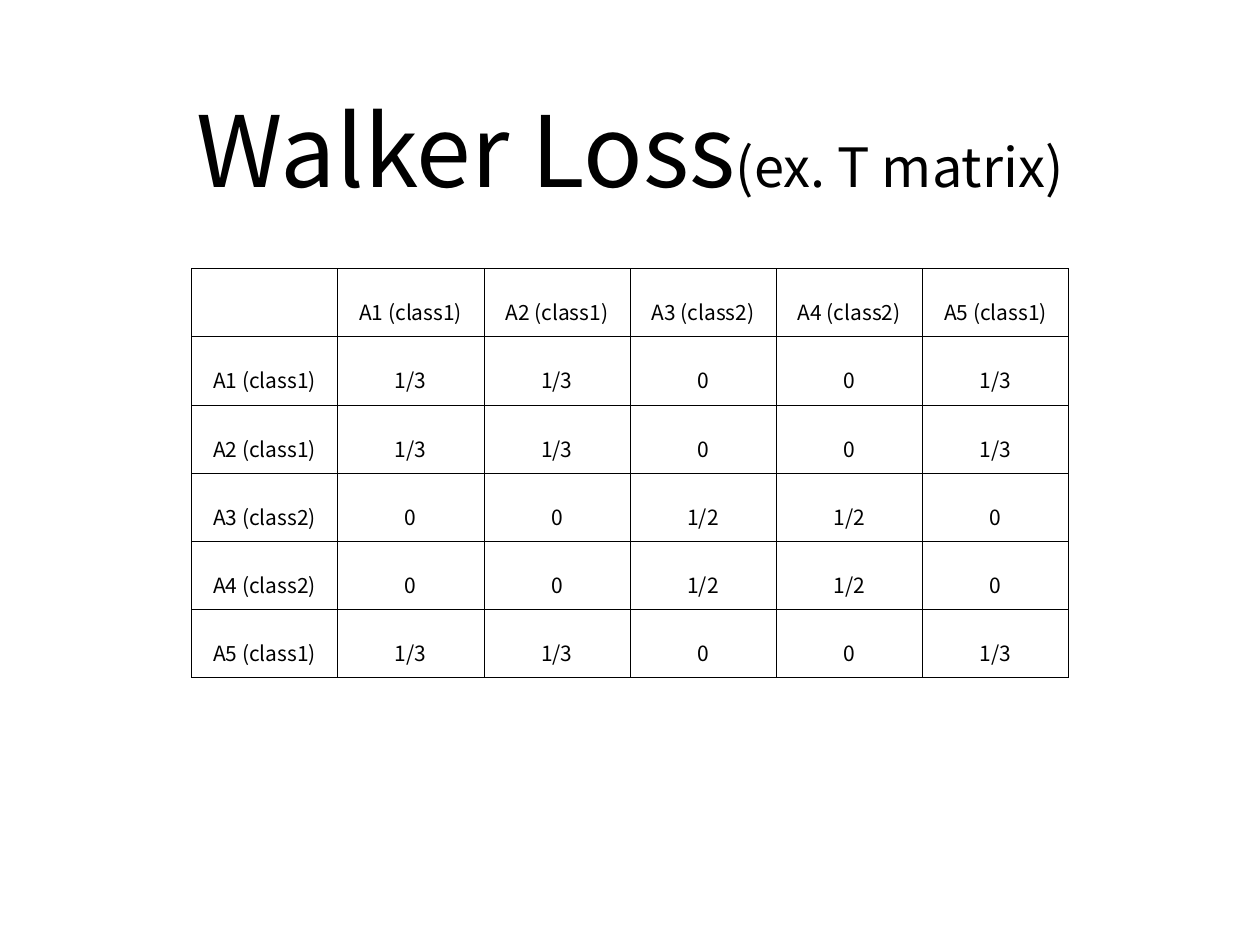
"""Build the Walker Loss slide with its example T matrix."""
import lxml.etree
import pptx
import pptx.dml.color
import pptx.enum.text
import pptx.oxml
import pptx.oxml.ns
import pptx.util

Inches = pptx.util.Inches
Pt = pptx.util.Pt

TITLE = [("Walker Loss", 80), ("(ex. T matrix)", 44)]
SAMPLE_CLASSES = [1, 1, 2, 2, 1]
FONT = "Noto Sans CJK KR"
BLACK = "000000"
TITLE_BOX = (1.04, 0.49, 12.14, 2.36)
TABLE_LEFT, TABLE_TOP = 2.16, 3.03
COLUMN_WIDTH, ROW_HEIGHT = 1.65, 0.77
BORDER_WIDTH = 0.28


def color(hex_string):
    return pptx.dml.color.RGBColor.from_string(hex_string)


def add_text(paragraph, text, size, hex_color=BLACK, line_spacing=None):
    paragraph.alignment = pptx.enum.text.PP_ALIGN.CENTER
    if line_spacing:
        paragraph.line_spacing = line_spacing
    run = paragraph.add_run()
    run.text = text
    run.font.name = FONT
    run.font.size = Pt(size)
    run.font.color.rgb = color(hex_color)


def set_margins(target, horizontal, vertical):
    target.margin_left = target.margin_right = Inches(horizontal)
    target.margin_top = target.margin_bottom = Inches(vertical)
    target.vertical_anchor = pptx.enum.text.MSO_ANCHOR.MIDDLE


def add_borders(cell, hex_color=BLACK):
    qn = pptx.oxml.ns.qn
    properties = cell._tc.get_or_add_tcPr()
    for side in ("lnL", "lnR", "lnT", "lnB"):
        line = lxml.etree.SubElement(properties, qn(f"a:{side}"), w=str(int(Pt(BORDER_WIDTH))))
        fill = lxml.etree.SubElement(line, qn("a:solidFill"))
        lxml.etree.SubElement(fill, qn("a:srgbClr"), val=hex_color)


def matrix_rows():
    labels = [f"A{number} (class{group})" for number, group in enumerate(SAMPLE_CLASSES, 1)]
    rows = [[""] + labels]
    for label, group in zip(labels, SAMPLE_CLASSES):
        share = f"1/{SAMPLE_CLASSES.count(group)}"
        rows.append([label] + [share if other == group else "0" for other in SAMPLE_CLASSES])
    return rows


def add_title(slide):
    title = slide.shapes.add_textbox(*map(Inches, TITLE_BOX))
    frame = title.text_frame
    frame.word_wrap = True
    set_margins(frame, 0.06, 0.06)
    for text, size in TITLE:
        add_text(frame.paragraphs[0], text, size)


def add_matrix(slide):
    rows = matrix_rows()
    count = len(rows)
    table = slide.shapes.add_table(
        count, count, Inches(TABLE_LEFT), Inches(TABLE_TOP),
        Inches(COLUMN_WIDTH * count), Inches(ROW_HEIGHT * count)).table
    table.first_row = table.horz_banding = False
    for column in table.columns:
        column.width = Inches(COLUMN_WIDTH)
    for table_row, values in zip(table.rows, rows):
        table_row.height = Inches(ROW_HEIGHT)
        for cell, value in zip(table_row.cells, values):
            set_margins(cell, 0.12, 0.03)
            add_borders(cell)
            cell.fill.background()
            if value:
                add_text(cell.text_frame.paragraphs[0], value, 17, line_spacing=1.6)


def main():
    presentation = pptx.Presentation()
    presentation.slide_width = Inches(14.22)
    presentation.slide_height = Inches(10.67)
    slide = presentation.slides.add_slide(presentation.slide_layouts[6])
    add_title(slide)
    add_matrix(slide)
    presentation.save("out.pptx")


if __name__ == "__main__":
    main()
